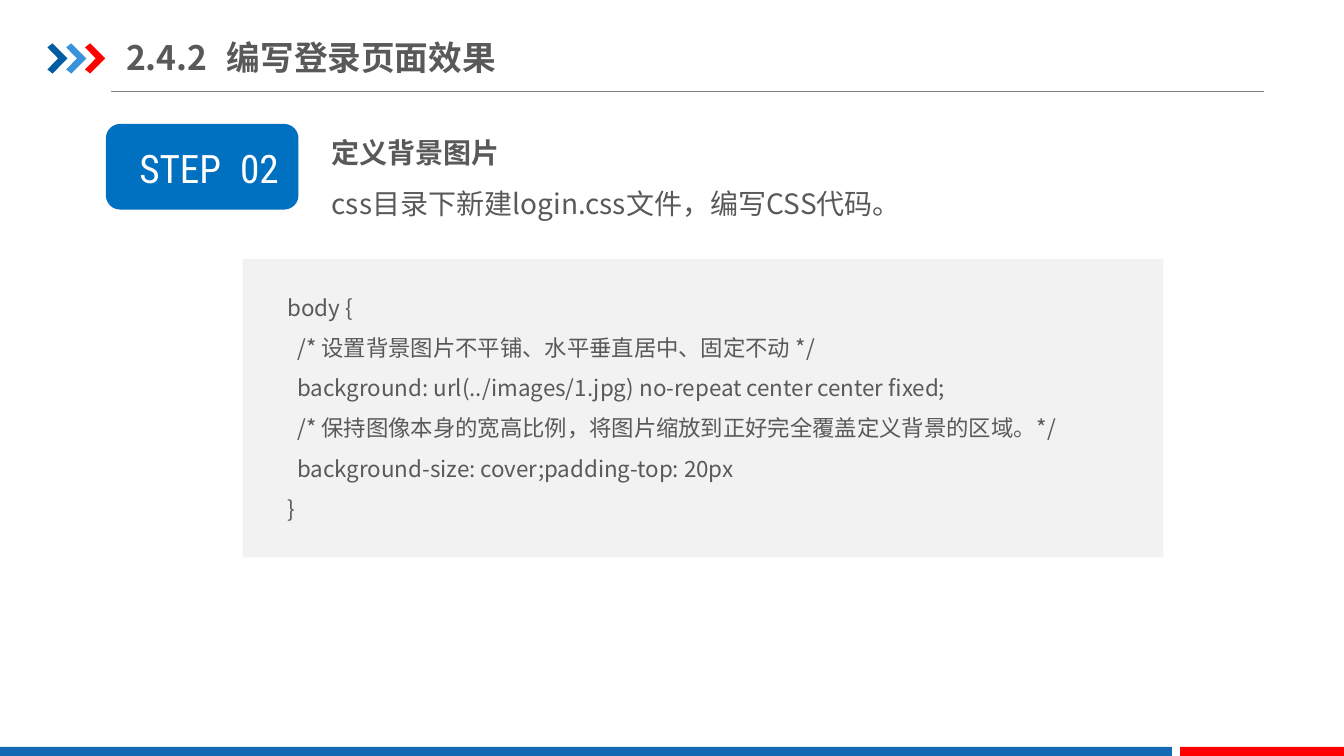
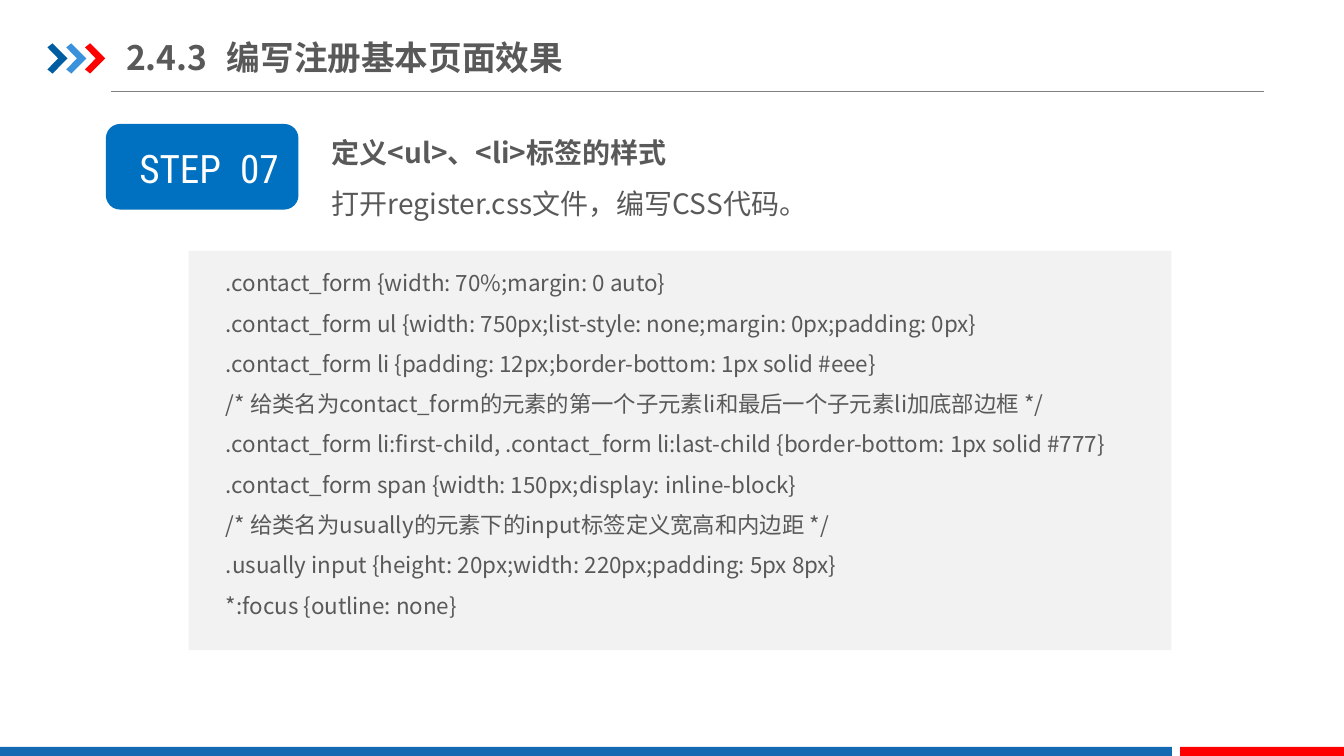
from lxml.etree import SubElement
from pptx import Presentation
from pptx.dml.color import RGBColor
from pptx.enum.shapes import MSO_CONNECTOR, MSO_SHAPE
from pptx.enum.text import MSO_ANCHOR, MSO_AUTO_SIZE, PP_ALIGN
from pptx.oxml.ns import qn
from pptx.util import Inches, Pt

deck = Presentation()
deck.slide_width, deck.slide_height = Inches(13.33), Inches(7.5)
column, row = deck.slide_width / 100, deck.slide_height / 100

SANS = "Noto Sans CJK SC"
GREY = "595959"
TITLE = {"name": SANS, "size": Pt(24), "bold": True, "color": GREY}
BADGE = {"name": "Roboto Condensed", "size": Pt(28), "bold": False, "color": "FFFFFF"}
LEAD = {"name": SANS, "size": Pt(20), "bold": False, "color": GREY}
CODE = {"name": SANS, "size": Pt(16), "bold": False, "color": GREY}

lessons = [
    {
        "title": "2.4.2\t编写登录页面效果",
        "step": "STEP\t02",
        "lead": ["定义背景图片", "css目录下新建login.css文件，编写CSS代码。"],
        "panel": (18.08, 34.27, 68.48, 39.47),
        "inset": (3.3, 2.8),
        "code": [
            "body {",
            "  /* 设置背景图片不平铺、水平垂直居中、固定不动 */",
            "  background: url(../images/1.jpg) no-repeat center center fixed;",
            "  /* 保持图像本身的宽高比例，将图片缩放到正好完全覆盖定义背景的区域。*/",
            "  background-size: cover;padding-top: 20px",
            "}",
        ],
    },
    {
        "title": "2.4.3\t编写注册基本页面效果",
        "step": "STEP\t07",
        "lead": ["定义<ul>、<li>标签的样式", "打开register.css文件，编写CSS代码。"],
        "panel": (14.03, 33.2, 73.13, 52.8),
        "inset": (2.78, 0.67),
        "code": [
            ".contact_form {width: 70%;margin: 0 auto}",
            ".contact_form ul {width: 750px;list-style: none;margin: 0px;padding: 0px}",
            ".contact_form li {padding: 12px;border-bottom: 1px solid #eee}",
            "/* 给类名为contact_form的元素的第一个子元素li和最后一个子元素li加底部边框 */",
            ".contact_form li:first-child, .contact_form li:last-child {border-bottom: 1px solid #777}",
            ".contact_form span {width: 150px;display: inline-block}",
            "/* 给类名为usually的元素下的input标签定义宽高和内边距 */",
            ".usually input {height: 20px;width: 220px;padding: 5px 8px}",
            "*:focus {outline: none}",
        ],
    },
]


def paint(shape, color):
    shape.shadow.inherit = False
    shape.fill.solid()
    shape.fill.fore_color.rgb = RGBColor.from_string(color)
    shape.line.fill.background()
    return shape


def write(box, lines, style, insets, anchor, spacing=1.0, tab=None):
    frame = box.text_frame
    sides = dict(zip(("margin_left", "margin_top", "margin_right", "margin_bottom"), insets))
    for side, length in sides.items():
        setattr(frame, side, Inches(length))
    frame.word_wrap = True
    frame.auto_size = MSO_AUTO_SIZE.NONE
    frame.vertical_anchor = anchor
    for index, line in enumerate(lines):
        para = frame.add_paragraph() if index else frame.paragraphs[0]
        props = para._p.get_or_add_pPr()
        props.set("marL", "0")
        props.set("indent", "0")
        SubElement(props, qn("a:buNone"))
        if tab:
            stops = SubElement(props, qn("a:tabLst"))
            SubElement(stops, qn("a:tab"), pos=str(Inches(tab)), algn="l")
        layout_values = {
            "alignment": PP_ALIGN.LEFT,
            "line_spacing": spacing,
            "space_before": Pt(0),
        }
        for key, value in layout_values.items():
            setattr(para, key, value)
        span = para.add_run()
        span.text = line
        for key in ("name", "size", "bold"):
            setattr(span.font, key, style[key])
        span.font.color.rgb = RGBColor.from_string(style["color"])
        SubElement(span._r.get_or_add_rPr(), qn("a:ea"), typeface=style["name"])


layout = deck.slide_layouts[1]
places = {0: (9.38, 3.87, 41.18, 7.33), 1: (23.93, 15.07, 63.9, 14)}
for box in layout.placeholders:
    number = box.placeholder_format.idx
    if number in places:
        left, top, width, height = places[number]
        box.left, box.top = int(left * column), int(top * row)
        box.width, box.height = int(width * column), int(height * row)

pages = [deck.slides.add_slide(layout) for lesson in lessons]
canvas = pages[0].shapes

rule = canvas.add_connector(
    MSO_CONNECTOR.STRAIGHT,
    int(8.25 * column), int(12.13 * row), int(94.05 * column), int(12.13 * row),
)
rule.line.color.rgb = RGBColor.from_string("808080")
rule.line.width = Pt(0.75)
SubElement(rule.element.spPr, qn("a:effectLst"))
shared = [rule]

outline = [(0, 6.27), (0.38, 5.73), (1.5, 7.73), (0.38, 9.73), (0, 9.19), (0.8, 7.73)]
for index, color in enumerate(("005DA2", "3992DB", "FF0000")):
    left = 3.53 + 1.4 * index
    points = [(int((left + x) * column), int(y * row)) for x, y in outline]
    builder = canvas.build_freeform(*points[0])
    builder.add_line_segments(points[1:], close=True)
    shared.append(paint(builder.convert_to_shape(), color))

for left, width, color in ((0, 87.2, "1369B2"), (87.8, 12.2, "FF0000")):
    band = canvas.add_shape(
        MSO_SHAPE.RECTANGLE,
        int(left * column), int(98.8 * row), int(width * column), int(1.2 * row),
    )
    shared.append(paint(band, color))

for shape in shared:
    layout.shapes.element.append(shape.element)

for page, lesson in zip(pages, lessons):
    write(page.shapes.title, [lesson["title"]], TITLE, (0, 0.07, 0, 0.07), MSO_ANCHOR.MIDDLE, tab=1.03)

    badge = page.shapes.add_shape(
        MSO_SHAPE.ROUNDED_RECTANGLE,
        int(7.88 * column), int(16.4 * row), int(14.33 * column), int(11.33 * row),
    )
    paint(badge, "0070C0")
    write(badge, [lesson["step"]], BADGE, (0.29, 0.07, 0, 0.05), MSO_ANCHOR.MIDDLE, tab=0.99)

    lead = page.placeholders[1]
    write(lead, lesson["lead"], LEAD, (0.1, 0.05, 0.1, 0.05), MSO_ANCHOR.TOP, spacing=1.5)
    lead.text_frame.paragraphs[0].runs[0].font.bold = True

    left, top, width, height = lesson["panel"]
    panel = page.shapes.add_shape(
        MSO_SHAPE.RECTANGLE,
        int(left * column), int(top * row), int(width * column), int(height * row),
    )
    paint(panel, "F2F2F2")
    across, down = lesson["inset"]
    insets = (across * column / Inches(1), down * row / Inches(1), 0.1, 0.05)
    write(panel, lesson["code"], CODE, insets, MSO_ANCHOR.TOP, spacing=1.5)

deck.save("out.pptx")
